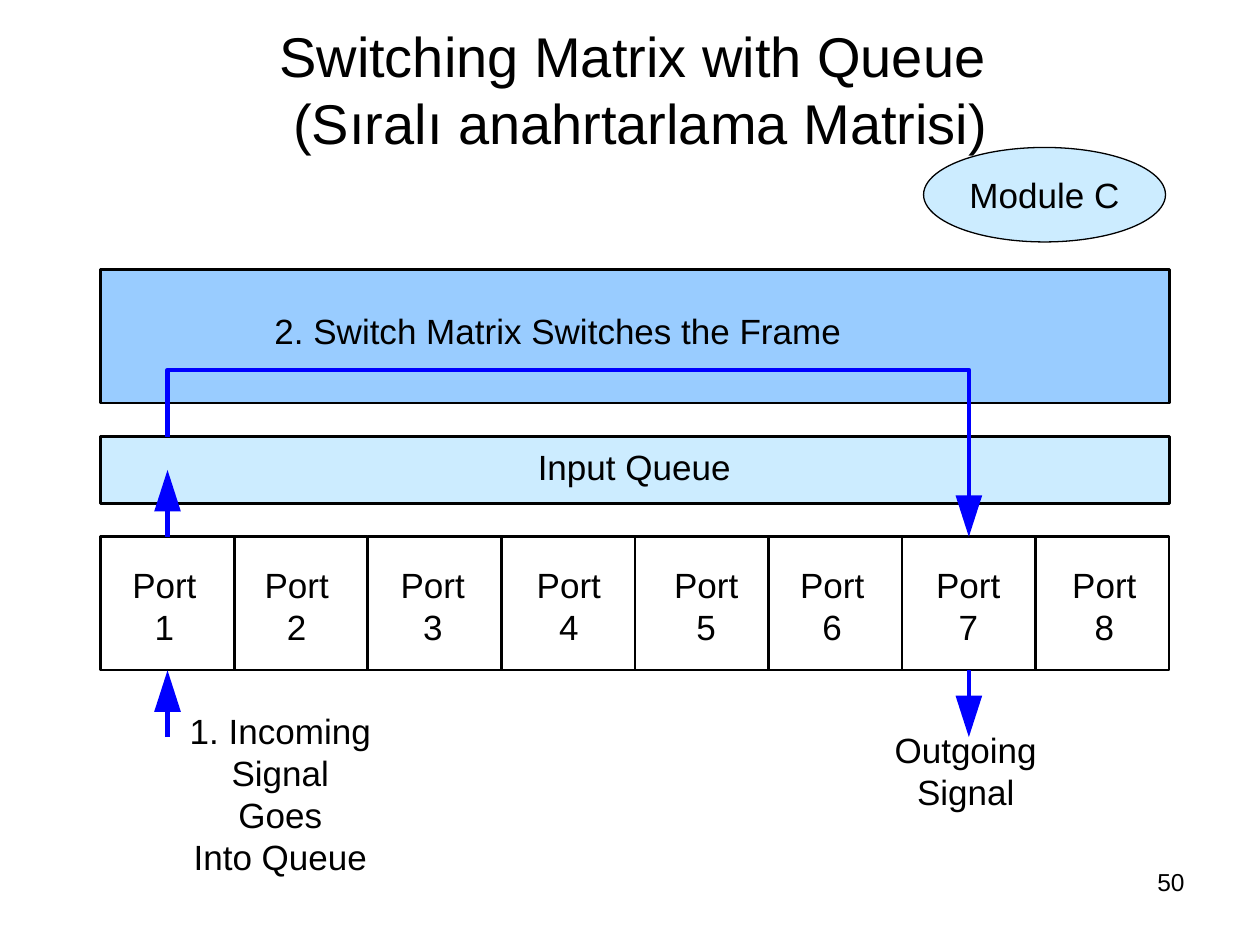
from pptx import Presentation
from pptx.dml.color import RGBColor
from pptx.enum.shapes import MSO_CONNECTOR as CONNECTOR, MSO_SHAPE as SHAPE
from pptx.enum.text import MSO_ANCHOR as ANCHOR, MSO_AUTO_SIZE as AUTO, PP_ALIGN as ALIGN
from pptx.oxml.ns import qn
from pptx.util import Inches, Pt
from lxml.etree import SubElement

COLORS = {"ink": "000000", "port": "FFFFFF", "queue": "CCECFF", "matrix": "99CCFF", "flow": "0000FF"}
RGB = {name: RGBColor.from_string(value) for name, value in COLORS.items()}
LEFT, TOP, CELL = 0.8, 2.14, 1.06
PORT_COUNT = 8
HEAD_LENGTH, HEAD_HALF = 0.31, 0.1


def grid(column, row):
    return Inches(LEFT + column * CELL), Inches(TOP + row * CELL)


def write(holder, text, size=20, align=ALIGN.CENTER, wrap=False):
    frame = holder.text_frame
    frame.text = text
    frame.word_wrap = wrap
    for paragraph in frame.paragraphs:
        paragraph.alignment = align
        for run in paragraph.runs:
            run.font.size = Pt(size)
            run.font.name = "Arial"
            run.font.color.rgb = RGB["ink"]


prs = Presentation()
prs.slide_width, prs.slide_height = Inches(10), Inches(7.5)
slide = prs.slides.add_slide(prs.slide_layouts[5])
shapes = slide.shapes

title = shapes.title
title.left, title.top, title.width, title.height = (Inches(v) for v in (0.17, 0.08, 9.83, 1.25))
write(title, "Switching Matrix with Queue \v(Sıralı anahrtarlama Matrisi)", 32, wrap=True)
title.text_frame.auto_size = AUTO.NONE
title.text_frame.vertical_anchor = ANCHOR.MIDDLE

bands = [(column, 2, 1, 1, "port") for column in range(PORT_COUNT)]
bands += [(0, 1.25, PORT_COUNT, 0.5, "queue"), (0, 0, PORT_COUNT, 1, "matrix")]
blocks = []
for column, row, columns, rows, color in bands:
    block = shapes.add_shape(SHAPE.RECTANGLE, *grid(column, row), Inches(columns * CELL), Inches(rows * CELL))
    block.shadow.inherit = False
    block.fill.solid()
    block.fill.fore_color.rgb = RGB[color]
    block.line.color.rgb = RGB["ink"]
    block.line.width = Pt(1.5)
    blocks.append(block)

shafts = [(0.5, 3.5, 3.28, None), (0.5, 2, 1.78, (blocks[0], 0)), (6.5, 3, 3.22, (blocks[6], 2))]
for column, start, end, joint in shafts:
    shaft = shapes.add_connector(CONNECTOR.STRAIGHT, *grid(column, start), *grid(column, end))
    if joint:
        shaft.begin_connect(*joint)
    shaft.line.color.rgb = RGB["flow"]
    shaft.line.width = Pt(2.5)
    SubElement(shaft.line._get_or_add_ln().getparent(), qn("a:effectLst"))

route_points = [grid(*point) for point in ((0.5, 1.25), (0.5, 0.75), (6.5, 0.75), (6.5, 1.71))]
route_builder = shapes.build_freeform(*route_points[0])
route_builder.add_line_segments(route_points[1:], close=False)
route = route_builder.convert_to_shape()
route.shadow.inherit = False
route.fill.background()
route.line.color.rgb = RGB["flow"]
route.line.width = Pt(2.5)

for column, tip, direction in [(0.5, 3, -1), (0.5, 1.5, -1), (6.5, 2, 1), (6.5, 3.5, 1)]:
    base = tip - direction * HEAD_LENGTH
    head_builder = shapes.build_freeform(*grid(column - HEAD_HALF, base))
    head_builder.add_line_segments([grid(column, tip), grid(column + HEAD_HALF, base)])
    head = head_builder.convert_to_shape()
    head.shadow.inherit = False
    head.fill.solid()
    head.fill.fore_color.rgb = RGB["flow"]
    head.line.fill.background()

labels = [
    ("2. Switch Matrix Switches the Frame", 2.08, 2.41, 4.7, 0.44, ALIGN.LEFT),
    ("Input Queue", 4.17, 3.49, 1.73, 0.44, ALIGN.LEFT),
    ("1. Incoming\nSignal Goes\nInto Queue", 1.37, 5.58, 1.71, 1.1, ALIGN.CENTER),
    ("Outgoing\nSignal", 7, 5.73, 1.33, 0.77, ALIGN.CENTER),
]
port_lefts = (0.95, 2, 3.08, 4.16, 5.25, 6.25, 7.33, 8.41)
labels += [(f"Port\n{number}", left, 4.42, 0.71, 0.77, ALIGN.CENTER)
           for number, left in enumerate(port_lefts, 1)]
for text, left, top, width, height, align in labels:
    label = shapes.add_textbox(Inches(left), Inches(top), Inches(width), Inches(height))
    write(label, text, align=align)
    label.text_frame.auto_size = AUTO.SHAPE_TO_FIT_TEXT

module = shapes.add_shape(SHAPE.OVAL, Inches(7.33), Inches(1.17), Inches(1.92), Inches(0.75))
module.shadow.inherit = False
module.fill.solid()
module.fill.fore_color.rgb = RGB["queue"]
module.line.color.rgb = RGB["ink"]
module.line.width = Pt(0.75)
write(module, "Module C")
module.text_frame.vertical_anchor = ANCHOR.MIDDLE

page_number = shapes.add_textbox(Inches(7.17), Inches(6.83), Inches(2.33), Inches(0.52))
write(page_number, "50", 14, ALIGN.RIGHT, wrap=True)

prs.save("out.pptx")
